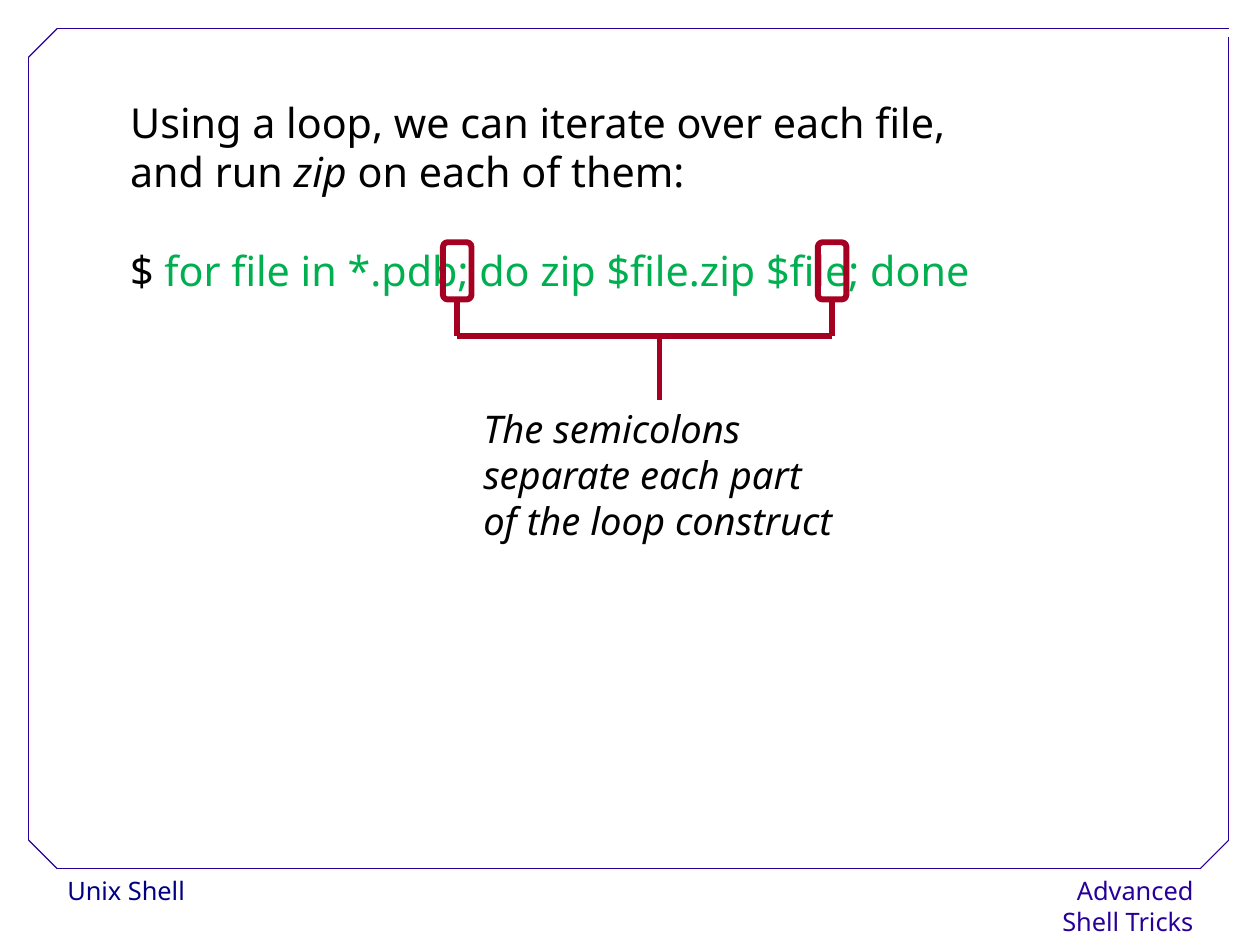
from lxml.etree import SubElement
from pptx import Presentation
from pptx.dml.color import RGBColor
from pptx.enum.shapes import MSO_CONNECTOR, MSO_SHAPE
from pptx.enum.text import PP_ALIGN
from pptx.oxml.ns import qn
from pptx.util import Cm, Inches, Pt

COLORS = {"navy": "000080", "indigo": "280099", "black": "000000",
          "green": "00B050", "red": "A50021", "white": "FFFFFF"}


class SlideBuilder:
    font = "Noto Sans"

    def __init__(self, slide):
        self.shapes = slide.shapes

    def color(self, name):
        return RGBColor.from_string(COLORS[name])

    def text(self, box, paragraphs, size, color="black", italic=None,
             align=PP_ALIGN.LEFT, line_spacing=None, gaps=None):
        """Each paragraph is a list of (text, run style) pairs; gaps maps
        a paragraph index to its space before in points."""
        s = self.shapes.add_textbox(*map(Inches, box))
        tf = s.text_frame
        tf.word_wrap = True
        for i, runs in enumerate(paragraphs):
            p = tf.add_paragraph() if i else tf.paragraphs[0]
            p.alignment = align
            if line_spacing:
                p.line_spacing = line_spacing
            if gaps and i in gaps:
                p.space_before = Pt(gaps[i])
            p.font.name = self.font
            p.font.size = Pt(size)
            p.font.italic = italic
            p.font.color.rgb = self.color(color)
            for text, style in runs:
                r = p.add_run()
                r.text = text
                if "italic" in style:
                    r.font.italic = style["italic"]
                if "color" in style:
                    r.font.color.rgb = self.color(style["color"])
        return s

    def footer(self, box, text, color, align):
        s = self.text(box, [[(text, {})]], 16, color, align=align,
                      line_spacing=1.02)
        s.text_frame.word_wrap = False
        s.fill.solid()
        s.fill.fore_color.rgb = self.color("white")

    def line(self, start, end, color, width):
        s = self.shapes.add_connector(MSO_CONNECTOR.STRAIGHT,
                                      *map(Inches, (*start, *end)))
        s.line.color.rgb = self.color(color)
        s.line.width = Pt(width)
        SubElement(s._element.spPr, qn("a:effectLst"))

    def outline(self, box, color, width):
        s = self.shapes.add_shape(MSO_SHAPE.ROUNDED_RECTANGLE,
                                  *map(Inches, box))
        s.shadow.inherit = False
        s.fill.background()
        s.line.color.rgb = self.color(color)
        s.line.width = Pt(width)


def add_frame(b):
    left, top, right, bottom, cut = 0.25, 0.25, 10.75, 7.6, 0.25
    edges = [
        ((left + cut, bottom), (right - cut, bottom)),
        ((left, bottom - cut), (left, top + cut)),
        ((left + cut, top), (right, top)),
        ((right, bottom - cut), (right, 0.32)),
        ((left, top + cut), (left + cut, top)),
        ((right - cut, bottom), (right, bottom - cut)),
        ((left, bottom - cut), (left + cut, bottom)),
    ]
    for start, end in edges:
        b.line(start, end, "indigo", 0.75)


def add_semicolon_callout(b):
    red = {"color": "red", "width": 3.75}
    box_top, box_w, box_h, bar_y, stem_x = 2.12, 0.25, 0.5, 2.94, 5.77
    semicolons = (4, 7.28)
    for x in semicolons:
        b.outline((x - box_w / 2, box_top, box_w, box_h), **red)
        b.line((x, box_top + box_h), (x, bar_y), **red)
    b.line((semicolons[1], bar_y), (semicolons[0], bar_y), **red)
    b.line((stem_x, bar_y), (stem_x, 3.5), **red)
    note = "The semicolons separate each part of the loop construct"
    b.text((4.13, 3.5, 3.28, 1.3), [[(note, {})]], 24, italic=True)


def main():
    prs = Presentation()
    prs.slide_width, prs.slide_height = Cm(28), Cm(21)
    b = SlideBuilder(prs.slides.add_slide(prs.slide_layouts[6]))

    b.footer((0.49, 7.6, 2.15, 0.4), "Unix Shell", "navy", PP_ALIGN.LEFT)
    b.footer((9.14, 7.6, 1.4, 0.4), "Advanced Shell Tricks", "indigo",
             PP_ALIGN.RIGHT)
    add_frame(b)

    b.text((1.04, 0.8, 9.26, 1.84), [
        [("Using a loop, we can iterate over each file,", {})],
        [("and run ", {}), ("zip", {"italic": True}),
         (" on each of them:", {})],
        [("$", {}),
         (" for file in *.pdb; do zip $file.zip $file; done",
          {"color": "green"})],
    ], 26, gaps={2: 31})
    add_semicolon_callout(b)

    prs.save("out.pptx")


if __name__ == "__main__":
    main()
